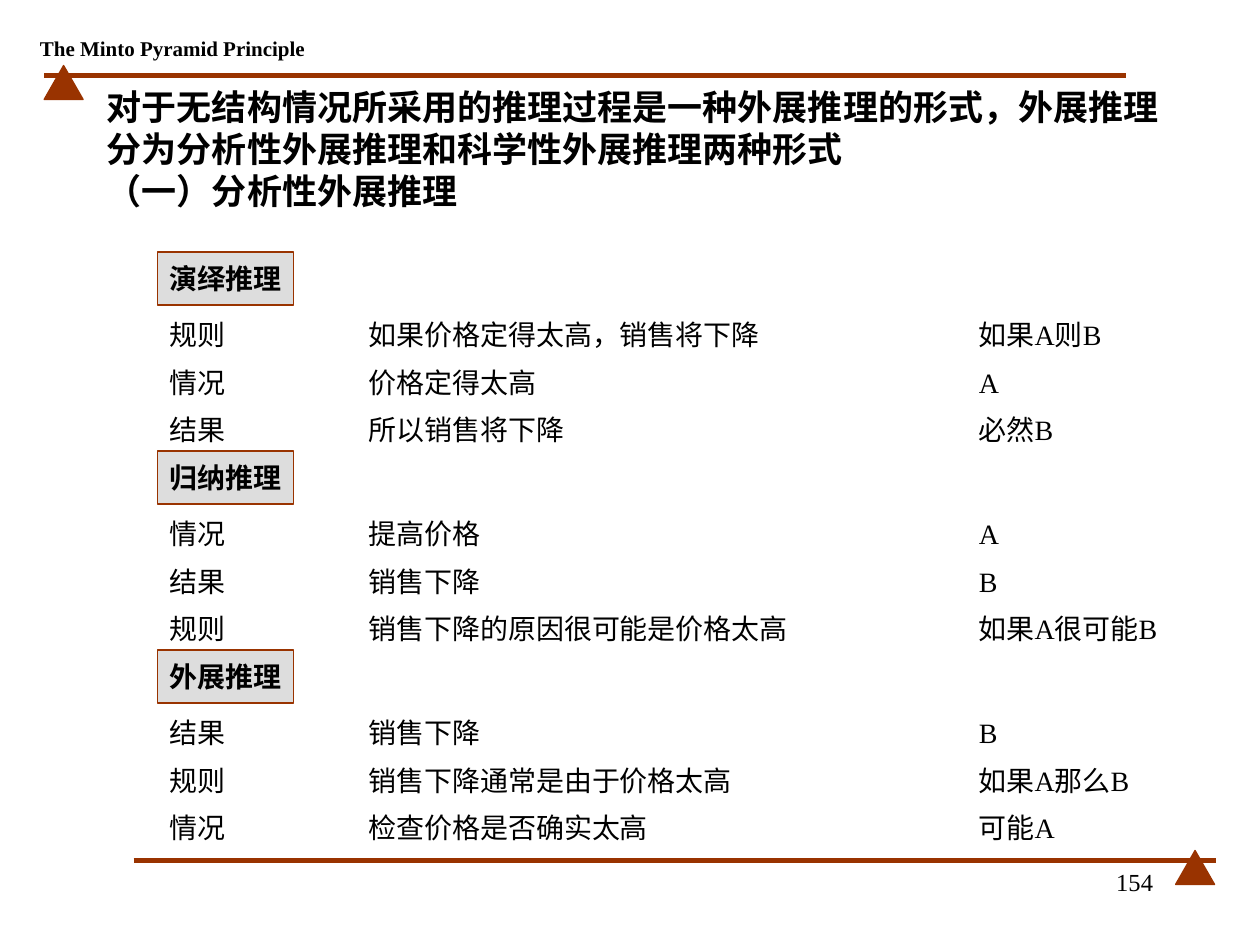
from lxml import etree
from pptx import Presentation
from pptx.dml.color import RGBColor
from pptx.enum.shapes import MSO_CONNECTOR, MSO_SHAPE
from pptx.enum.text import MSO_ANCHOR, MSO_AUTO_SIZE, PP_ALIGN
from pptx.oxml.ns import qn
from pptx.util import Inches, Pt

LEFT, CENTER, RIGHT = PP_ALIGN.LEFT, PP_ALIGN.CENTER, PP_ALIGN.RIGHT
TOP, MIDDLE = MSO_ANCHOR.TOP, MSO_ANCHOR.MIDDLE
FIT_SHAPE, NO_FIT = MSO_AUTO_SIZE.SHAPE_TO_FIT_TEXT, MSO_AUTO_SIZE.NONE
RECTANGLE, TRIANGLE = MSO_SHAPE.RECTANGLE, MSO_SHAPE.ISOSCELES_TRIANGLE
STRAIGHT = MSO_CONNECTOR.STRAIGHT

COLORS = {"accent": "993300", "label": "DDDDDD", "text": "000000"}
FONT_NAME = "Times New Roman"

FIRST_TOP, SECTION_STEP, ROWS_OFFSET = 2, 1.58, 0.5
COLUMN_LEFTS = (1.25, 2.83, 7.67)

# Heading, width of the middle column, then rows of term, example and formula
SECTIONS = [
    ("演绎推理", 3.33, [
        ("规则", "如果价格定得太高，销售将下降", "如果A则B"),
        ("情况", "价格定得太高", "A"),
        ("结果", "所以销售将下降", "必然B"),
    ]),
    ("归纳推理", 3.67, [
        ("情况", "提高价格", "A"),
        ("结果", "销售下降", "B"),
        ("规则", "销售下降的原因很可能是价格太高", "如果A很可能B"),
    ]),
    ("外展推理", 3.33, [
        ("结果", "销售下降", "B"),
        ("规则", "销售下降通常是由于价格太高", "如果A那么B"),
        ("情况", "检查价格是否确实太高", "可能A"),
    ]),
]


def color(name):
    return RGBColor.from_string(COLORS[name])


def set_attributes(target, values):
    for name, value in values.items():
        setattr(target, name, value)


class SlideBuilder:
    """Holds the text style and the slide being drawn."""

    def __init__(self, slide):
        self.shapes = slide.shapes

    def fill_text(self, shape, lines, size, bold=False, align=LEFT, frame=None, spacing=None):
        """Fill a shape with one paragraph per line; spacing applies between them."""
        text_frame = shape.text_frame
        set_attributes(text_frame, {"word_wrap": True, "auto_size": NO_FIT,
                                    "vertical_anchor": TOP, **(frame or {})})
        for index, line in enumerate(lines):
            paragraph = text_frame.paragraphs[0] if index == 0 else text_frame.add_paragraph()
            paragraph.text = line
            paragraph.alignment = align
            set_attributes(paragraph, spacing or {})
            if index == 0:
                paragraph.space_before = Pt(0)
            set_attributes(paragraph.font, {"name": FONT_NAME, "size": Pt(size), "bold": bold})
            paragraph.font.color.rgb = color("text")

    def text(self, box, lines, size, **style):
        shape = self.shapes.add_textbox(*map(Inches, box))
        self.fill_text(shape, lines, size, **style)

    def shape(self, kind, box, fill):
        shape = self.shapes.add_shape(kind, *map(Inches, box))
        shape.shadow.inherit = False
        shape.fill.solid()
        shape.fill.fore_color.rgb = color(fill)
        shape.line.color.rgb = color("accent")
        shape.line.width = Pt(0.75)
        return shape

    def label(self, box, text):
        shape = self.shape(RECTANGLE, box, "label")
        self.fill_text(shape, [text], 16, bold=True, align=CENTER,
                       frame={"word_wrap": False, "vertical_anchor": MIDDLE})

    def rule(self, left, right, y):
        line = self.shapes.add_connector(STRAIGHT, *map(Inches, (left, y, right, y)))
        line.line.color.rgb = color("accent")
        line.line.width = Pt(3)
        etree.SubElement(line._element.spPr, qn("a:effectLst"))

    def section(self, top, heading, middle_width, rows):
        widths = (1.25, middle_width, 1.75)
        for left, width, lines in zip(COLUMN_LEFTS, widths, zip(*rows)):
            self.text((left, top + ROWS_OFFSET, width, 1.1), lines, 16,
                      frame={"auto_size": FIT_SHAPE},
                      spacing={"line_spacing": 0.9, "space_before": Pt(10)})
        self.label((COLUMN_LEFTS[0], top, 1.08, 0.42), heading)


def main():
    presentation = Presentation()
    presentation.slide_width, presentation.slide_height = Inches(10), Inches(7.5)
    builder = SlideBuilder(presentation.slides.add_slide(presentation.slide_layouts[6]))

    for left, right, y, triangle_left in ((0.35, 8.94, 0.6, 0.35), (1.06, 9.65, 6.83, 9.33)):
        builder.rule(left, right, y)
        builder.shape(TRIANGLE, (triangle_left, y - 0.08, 0.31, 0.27), "accent")

    builder.text((0.23, 0.24, 2.28, 0.28), ["The Minto Pyramid Principle"], 12, bold=True,
                 align=CENTER, frame={"word_wrap": False, "vertical_anchor": MIDDLE})
    builder.text((7.17, 6.83, 2.08, 0.5), ["154"], 14, align=RIGHT)
    title = ("对于无结构情况所采用的推理过程是一种外展推理的形式，"
             "外展推理分为分析性外展推理和科学性外展推理两种形式\v（一）分析性外展推理")
    builder.text((0.75, 0.86, 8.74, 0.64), [title], 20, bold=True,
                 frame={"vertical_anchor": MIDDLE})

    for index, section in enumerate(SECTIONS):
        builder.section(FIRST_TOP + index * SECTION_STEP, *section)

    presentation.save("out.pptx")


if __name__ == "__main__":
    main()
